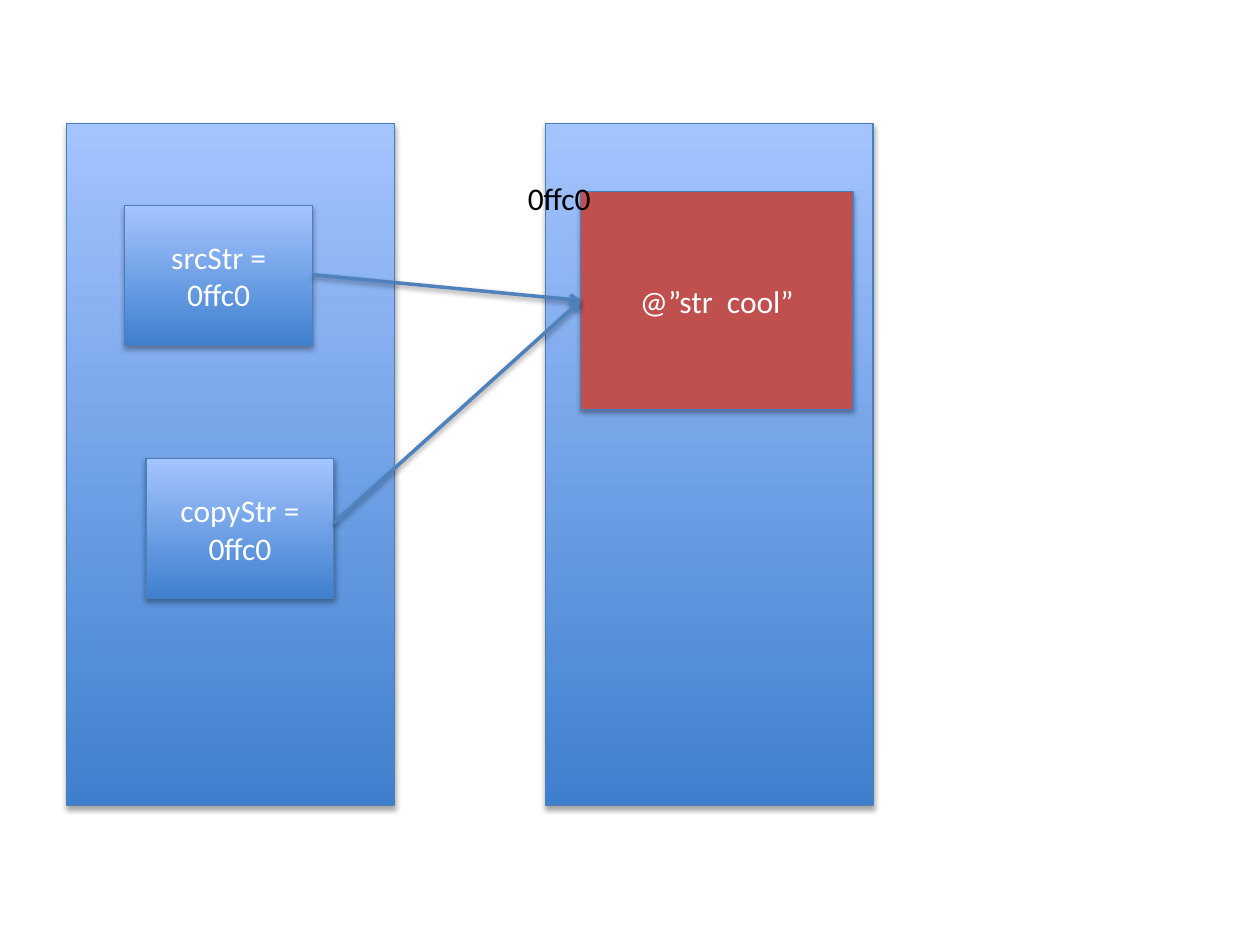
from dataclasses import dataclass

from lxml import etree
from pptx import Presentation
from pptx import util as u
from pptx.dml.color import RGBColor
from pptx.enum import shapes, text
from pptx.oxml import ns


@dataclass(frozen=True)
class Theme:
    font: str = "Calibri"
    size: float = 18
    light: str = "A4C4FF"
    deep: str = "3F80CE"
    outline: str = "4B7EBC"
    pointer: str = "4F81BD"
    string: str = "C0504D"
    on_fill: str = "FFFFFF"
    ink: str = "000000"


THEME = Theme()
RIGHT_SIDE, LEFT_SIDE = 3, 1


def rgb(value):
    return RGBColor.from_string(value)


def pts(*values):
    return [u.Pt(value) for value in values]


def add_xml(parent, tag, **attributes):
    return etree.SubElement(parent, ns.qn(tag), attributes)


def cast_shadow(properties, distance, alpha):
    effects = properties.find(ns.qn("a:effectLst"))
    if effects is None:
        effects = add_xml(properties, "a:effectLst")
    shadow = add_xml(effects, "a:outerShdw", blurRad=str(u.Pt(3.15)),
                     dist=str(u.Pt(distance)), dir="5400000", rotWithShape="0")
    color = add_xml(shadow, "a:srgbClr", val=THEME.ink)
    add_xml(color, "a:alpha", val=str(alpha * 1000))


def write(frame, words, color, align):
    paragraph = frame.paragraphs[0]
    paragraph.text = words
    paragraph.alignment = align
    paragraph.font.name = THEME.font
    paragraph.font.size = u.Pt(THEME.size)
    paragraph.font.color.rgb = rgb(color)


def add_box(slide, left, top, width, height, words="", solid=None):
    box = slide.shapes.add_shape(shapes.MSO_SHAPE.RECTANGLE,
                                 *pts(left, top, width, height))
    if solid:
        box.fill.solid()
        box.fill.fore_color.rgb = rgb(solid)
    else:
        box.fill.gradient()
        box.fill.gradient_angle = 90
        for stop, color in zip(box.fill.gradient_stops, (THEME.deep, THEME.light)):
            stop.color.rgb = rgb(color)
    box.line.color.rgb = rgb(THEME.outline)
    box.line.width = u.Pt(0.75)
    box.shadow.inherit = False
    cast_shadow(box._element.spPr, 1.8, 35)
    if words:
        box.text_frame.vertical_anchor = text.MSO_ANCHOR.MIDDLE
        write(box.text_frame, words, THEME.on_fill, text.PP_ALIGN.CENTER)
    return box


def add_label(slide, left, top, width, height, words):
    frame = slide.shapes.add_textbox(*pts(left, top, width, height)).text_frame
    frame.word_wrap = False
    frame.auto_size = text.MSO_AUTO_SIZE.SHAPE_TO_FIT_TEXT
    write(frame, words, THEME.ink, text.PP_ALIGN.LEFT)


def add_pointer(slide, variable, target, start_y):
    pointer = slide.shapes.add_connector(
        shapes.MSO_CONNECTOR.STRAIGHT,
        variable.left + variable.width, u.Pt(start_y),
        target.left, target.top + target.height // 2)
    pointer.line.color.rgb = rgb(THEME.pointer)
    pointer.line.width = u.Pt(2)
    add_xml(pointer.line._get_or_add_ln(), "a:tailEnd", type="arrow")
    cast_shadow(pointer._element.spPr, 1.6, 38)


def main():
    deck = Presentation()
    deck.slide_width, deck.slide_height = pts(720, 540)
    slide = deck.slides.add_slide(deck.slide_layouts[6])

    for memory_left in (38.16, 311.76):
        add_box(slide, memory_left, 70.56, 187.2, 389.5)
    string = add_box(slide, 331.92, 109.44, 155.52, 124.56,
                     "@”str  cool”", THEME.string)

    variable_size = (107.28, 79.92)
    source = add_box(slide, 71.28, 117.36, *variable_size, "srcStr = 0ffc0")
    add_label(slide, 294.48, 98.64, 51.12, 28.8, "0ffc0")
    add_pointer(slide, source, string, 156.96)
    duplicate = add_box(slide, 83.52, 262.08, *variable_size, "copyStr = 0ffc0")
    add_pointer(slide, duplicate, string, 298.8)

    deck.save("out.pptx")


main()
